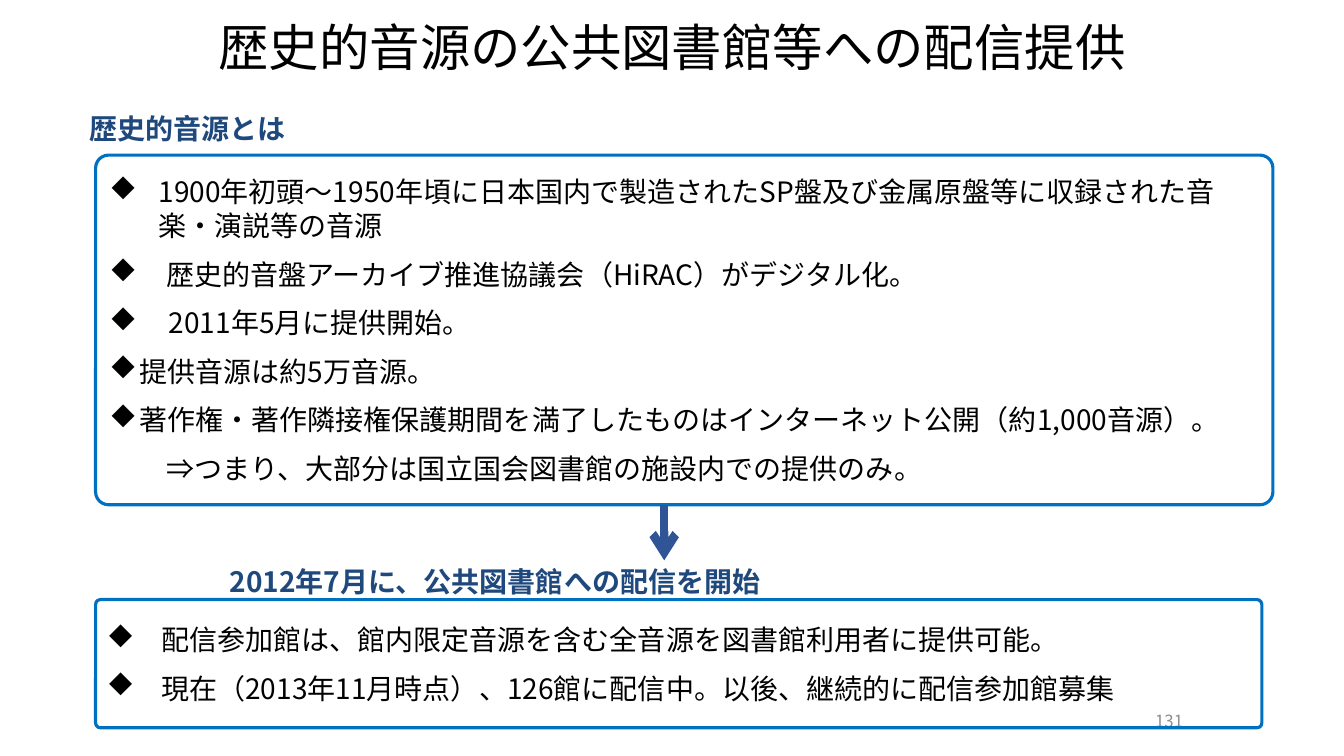
import pptx
import pptx.dml.color
import pptx.enum.shapes
import pptx.enum.text
import pptx.oxml.ns
import pptx.util
from lxml import etree
from pptx.util import Cm

FONT = "Noto Sans CJK JP"
BLACK, NAVY, BLUE, ARROW_BLUE, GREY = "000000", "1F497D", "0070C0", "2F5597", "8C8C8C"
SHAPES = pptx.enum.shapes.MSO_SHAPE
ANCHOR = pptx.enum.text.MSO_ANCHOR
ALIGN = pptx.enum.text.PP_ALIGN
ABOUT_ITEMS = [
    ("1900年初頭～1950年頃に日本国内で製造されたSP盤及び金属原盤等に収録された音楽・演説等の音源", 1.24, True),
    ("歴史的音盤アーカイブ推進協議会（HiRAC）がデジタル化。", 1.43, True),
    ("2011年5月に提供開始。", 1.5, True),
    ("提供音源は約5万音源。", 0.76, True),
    ("著作権・著作隣接権保護期間を満了したものはインターネット公開（約1,000音源）。", 0.76, True),
    ("⇒つまり、大部分は国立国会図書館の施設内での提供のみ。", 1.43, False),
]
DELIVERY_ITEMS = [
    ("配信参加館は、館内限定音源を含む全音源を図書館利用者に提供可能。", 1.37, True),
    ("現在（2013年11月時点）、126館に配信中。以後、継続的に配信参加館募集", 1.37, True),
]


def color(value):
    """Turn a hex string into a colour."""
    return pptx.dml.color.RGBColor.from_string(value)


def add_element(parent, tag, **attributes):
    """Append a drawing element to a parent."""
    return etree.SubElement(parent, pptx.oxml.ns.qn(tag), attributes)


def add_run(paragraph, text, size, value, bold=False):
    """Append a run in the slide's font."""
    run = paragraph.add_run()
    run.text = text
    run.font.size = pptx.util.Pt(size)
    run.font.bold = bold
    run.font.color.rgb = color(value)
    run.font.name = FONT
    add_element(run.font._element, "a:ea", typeface=FONT)


def set_indent(paragraph, indent, bulleted):
    """Indent a paragraph, with a hanging diamond if bulleted."""
    properties = paragraph._p.get_or_add_pPr()
    properties.set("marL", str(Cm(indent)))
    properties.set("indent", str(-Cm(indent) if bulleted else 0))
    if bulleted:
        add_element(properties, "a:buFont", typeface="Wingdings")
        add_element(properties, "a:buChar", char="u")
    else:
        add_element(properties, "a:buNone")


def add_title(slide, text):
    """Fill and place the title placeholder."""
    title = slide.shapes.title
    title.left, title.top, title.width, title.height = Cm(0), Cm(0), Cm(33.87), Cm(2.51)
    title.text_frame.vertical_anchor = ANCHOR.MIDDLE
    paragraph = title.text_frame.paragraphs[0]
    paragraph.alignment = ALIGN.CENTER
    paragraph.line_spacing = 0.9
    add_run(paragraph, text, 36, BLACK)


def add_heading(slide, left, top, text):
    """Add a bold heading standing on its box."""
    frame = slide.shapes.add_textbox(Cm(left), Cm(top), Cm(16), Cm(1.57)).text_frame
    frame.word_wrap = True
    frame.vertical_anchor = ANCHOR.BOTTOM
    frame.margin_bottom = Cm(0.25)
    add_run(frame.paragraphs[0], text, 20, NAVY, bold=True)


def add_outline(slide, kind, left, top, width, height):
    """Add an unfilled shape without outline or shadow."""
    shape = slide.shapes.add_shape(kind, Cm(left), Cm(top), Cm(width), Cm(height))
    shape.shadow.inherit = False
    shape.fill.background()
    shape.line.fill.background()
    shape.text_frame.word_wrap = True
    shape.text_frame.vertical_anchor = ANCHOR.MIDDLE
    return shape


def add_list_box(slide, top, width, height, items):
    """Add a rounded blue frame holding a list."""
    box = add_outline(slide, SHAPES.ROUNDED_RECTANGLE, 2.41, top, width, height)
    box.adjustments[0] = 0.037
    box.line.color.rgb = color(BLUE)
    box.line.width = pptx.util.Pt(2.25)
    for index, (text, indent, bulleted) in enumerate(items):
        paragraph = box.text_frame.add_paragraph() if index else box.text_frame.paragraphs[0]
        paragraph.alignment = ALIGN.LEFT
        if index:
            paragraph.space_before = pptx.util.Pt(10.7)
        set_indent(paragraph, indent, bulleted)
        add_run(paragraph, text, 20, BLACK)


def add_down_arrow(slide, x, top, bottom):
    """Add a thick arrow pointing down."""
    straight = pptx.enum.shapes.MSO_CONNECTOR.STRAIGHT
    arrow = slide.shapes.add_connector(straight, Cm(x), Cm(top), Cm(x), Cm(bottom))
    arrow.line.color.rgb = color(ARROW_BLUE)
    arrow.line.width = pptx.util.Pt(6)
    add_element(arrow.line._get_or_add_ln(), "a:tailEnd", type="arrow")
    add_element(arrow._element.spPr, "a:effectLst")


def add_page_number(slide, text):
    """Add the page number at the lower right."""
    shape = add_outline(slide, SHAPES.OVAL, 27.66, 17.53, 2.82, 1.27)
    paragraph = shape.text_frame.paragraphs[0]
    paragraph.alignment = ALIGN.RIGHT
    add_run(paragraph, text, 12, GREY)


def main():
    """Build and save the slide."""
    presentation = pptx.Presentation()
    presentation.slide_width, presentation.slide_height = Cm(33.87), Cm(19.05)
    slide = presentation.slides.add_slide(presentation.slide_layouts[5])
    add_page_number(slide, "131")
    add_title(slide, "歴史的音源の公共図書館等への配信提供")
    add_list_box(slide, 3.91, 29.67, 8.81, ABOUT_ITEMS)
    add_heading(slide, 2.01, 2.34, "歴史的音源とは")
    add_down_arrow(slide, 16.74, 12.73, 14.12)
    add_list_box(slide, 15.11, 29.39, 3.23, DELIVERY_ITEMS)
    add_heading(slide, 5.54, 13.74, "2012年7月に、公共図書館への配信を開始")
    presentation.save("out.pptx")


if __name__ == "__main__":
    main()
